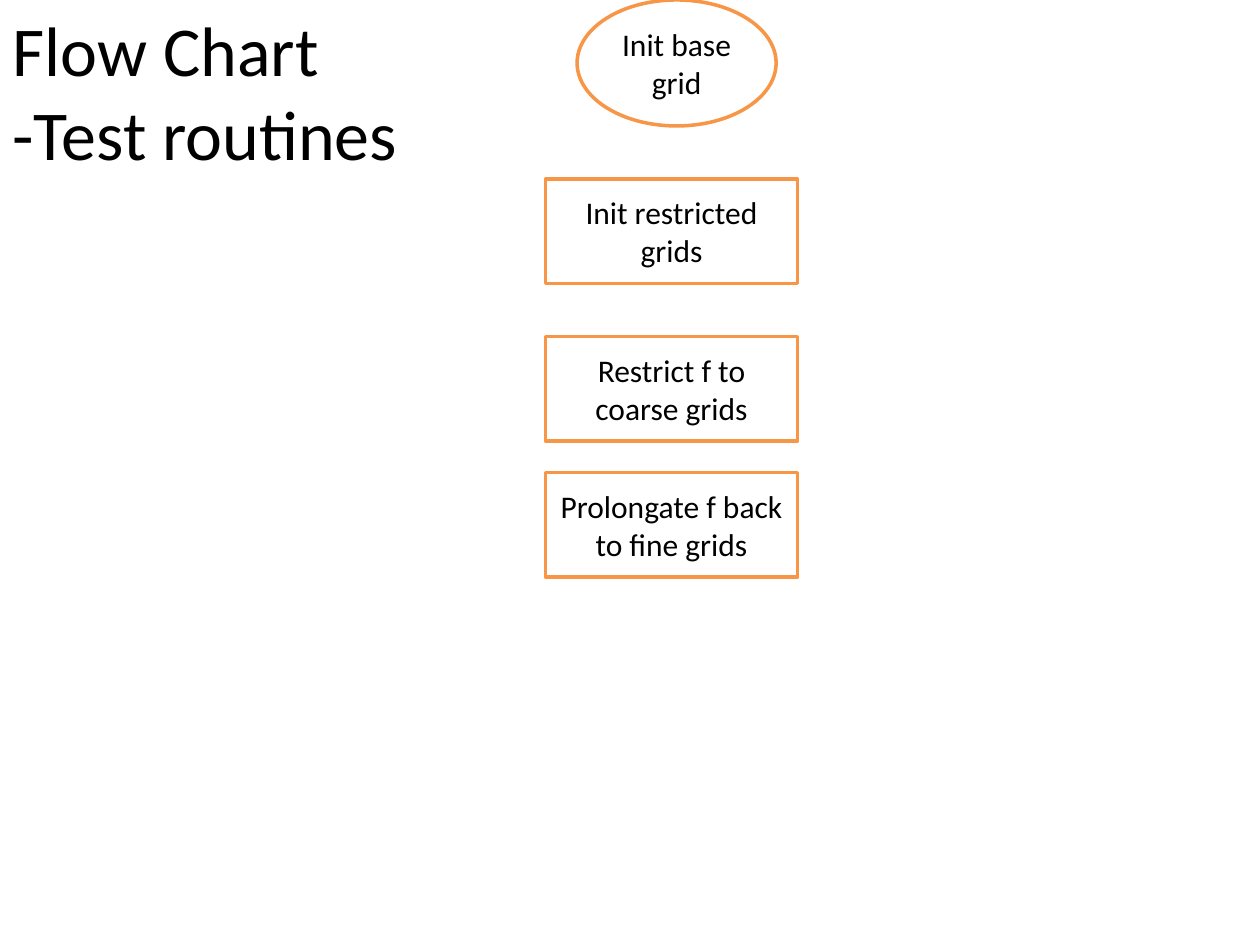
from pptx import Presentation
from pptx.dml.color import RGBColor
from pptx.enum.shapes import MSO_SHAPE as Shape
from pptx.enum.text import MSO_ANCHOR as Anchor, MSO_AUTO_SIZE as AutoSize, PP_ALIGN as Align
from pptx.util import Inches, Pt

# Content
TITLE = ["Flow Chart", "-Test routines"]
STEPS = [  # text, outline, top, width, height
    ("Init base grid", Shape.OVAL, 0, 1.58, 1),
    ("Init restricted grids", Shape.RECTANGLE, 1.42, 2, 0.83),
    ("Restrict f to coarse grids", Shape.RECTANGLE, 2.67, 2, 0.83),
    ("Prolongate f back to fine grids", Shape.RECTANGLE, 3.75, 2, 0.83),
]
STEP_LEFT = {Shape.OVAL: 4.58, Shape.RECTANGLE: 4.33}

# Style
BLACK = RGBColor(0x00, 0x00, 0x00)
WHITE = RGBColor(0xFF, 0xFF, 0xFF)
ORANGE = RGBColor(0xF7, 0x96, 0x46)
TITLE_FRAME = {"word_wrap": False, "auto_size": AutoSize.SHAPE_TO_FIT_TEXT,
               "vertical_anchor": Anchor.TOP}
STEP_FRAME = {"word_wrap": True, "vertical_anchor": Anchor.MIDDLE}


def set_all(target, values):
    for name, value in values.items():
        setattr(target, name, value)


def write(box, lines, size, align, frame_format):
    frame = box.text_frame
    frame.text = "\n".join(lines)
    set_all(frame, frame_format)
    for para in frame.paragraphs:
        para.alignment = align
        for span in para.runs:
            set_all(span.font, {"name": "Calibri", "size": Pt(size)})
            span.font.color.rgb = BLACK


def add_step(page, text, outline, top, width, height):
    box = page.shapes.add_shape(outline, Inches(STEP_LEFT[outline]), Inches(top),
                                Inches(width), Inches(height))
    box.shadow.inherit = False
    box.fill.solid()
    box.fill.fore_color.rgb = WHITE
    box.line.color.rgb = ORANGE
    box.line.width = Pt(2)
    write(box, [text], 18, Align.CENTER, STEP_FRAME)


def main():
    deck = Presentation()
    set_all(deck, {"slide_width": Inches(10), "slide_height": Inches(7.5)})
    page = deck.slides.add_slide(deck.slide_layouts.get_by_name("Title Only"))

    # Title in the top left corner
    title = page.shapes.title
    set_all(title, {"left": 0, "top": 0, "width": Inches(3.29), "height": Inches(1.45)})
    write(title, TITLE, 40, Align.LEFT, TITLE_FRAME)

    # Column of steps
    for step in STEPS:
        add_step(page, *step)

    deck.save("out.pptx")


if __name__ == "__main__":
    main()
